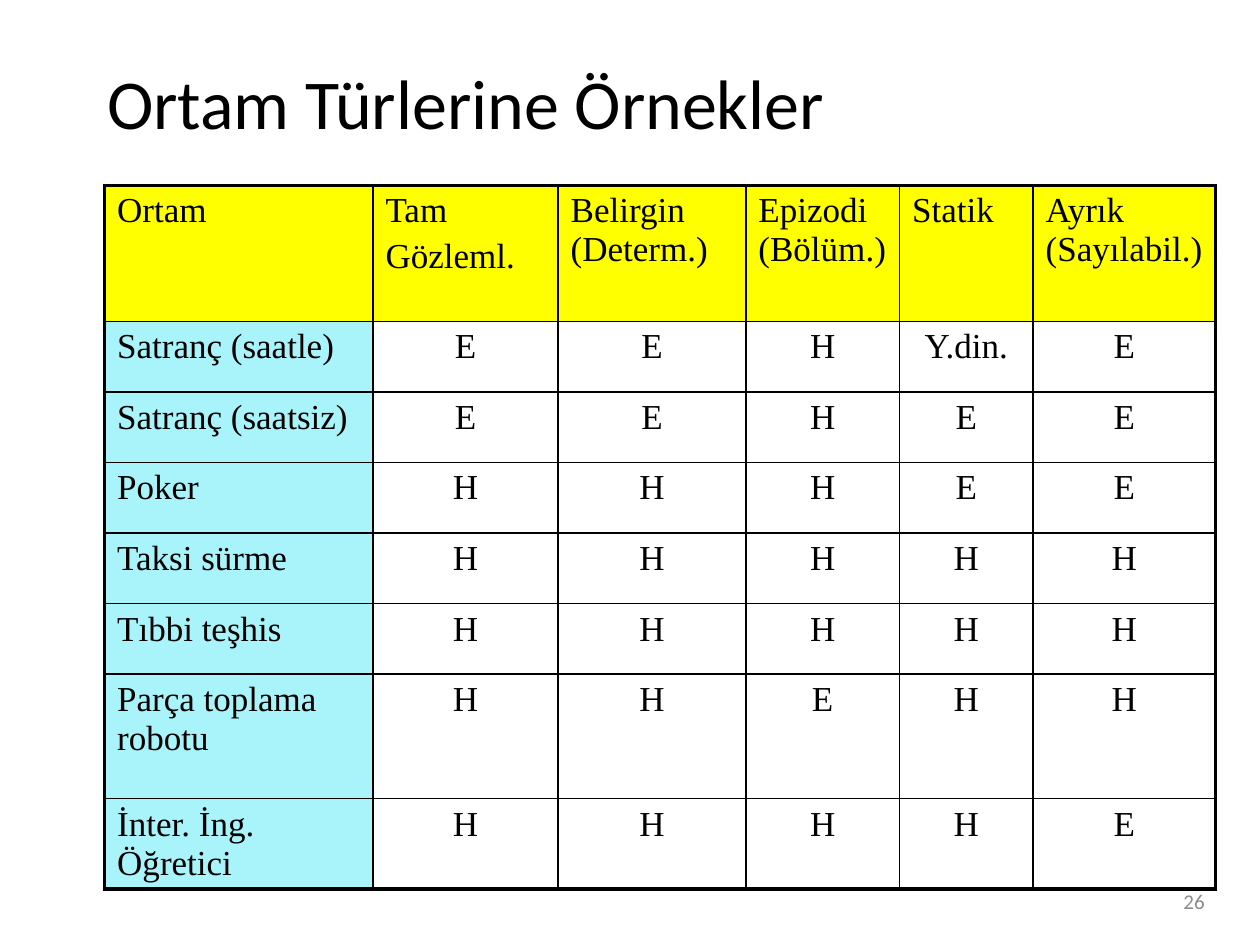
from lxml import etree
from pptx import Presentation
from pptx.dml.color import RGBColor
from pptx.enum.text import MSO_ANCHOR, PP_ALIGN
from pptx.oxml.ns import qn
from pptx.util import Inches, Pt

LEFT, CENTER, RIGHT = PP_ALIGN.LEFT, PP_ALIGN.CENTER, PP_ALIGN.RIGHT
MIDDLE = MSO_ANCHOR.MIDDLE
TITLE_ONLY = 5

COLORS = {
    "black": "000000",
    "white": "FFFFFF",
    "header": "FFFF00",
    "label": "A8F4FA",
    "number": "8C8C8C",
}

COLUMN_WIDTHS = [2.13, 1.47, 1.49, 1.22, 1.06, 1.45]
ROW_HEIGHTS = [1.08] + [0.56] * 5 + [0.99, 0.56]
ENVIRONMENTS = [
    ["Ortam", "Tam\nGözleml.", "Belirgin (Determ.)", "Epizodi (Bölüm.)",
     "Statik", "Ayrık (Sayılabil.)"],
    ["Satranç (saatle)", "E", "E", "H", "Y.din.", "E"],
    ["Satranç (saatsiz)", "E", "E", "H", "E", "E"],
    ["Poker", "H", "H", "H", "E", "E"],
    ["Taksi sürme", "H", "H", "H", "H", "H"],
    ["Tıbbi teşhis", "H", "H", "H", "H", "H"],
    ["Parça toplama robotu", "H", "H", "E", "H", "H"],
    ["İnter. İng. Öğretici", "H", "H", "H", "H", "E"],
]


class PageBuilder:
    heading_font = "Calibri"
    table_font = "Times New Roman"
    thin, thick = 1, 2.25

    def __init__(self, page):
        self.page = page

    def set_text(self, frame, text, font, size, color="black", align=LEFT):
        frame.text = text
        for index, para in enumerate(frame.paragraphs):
            para.alignment = align
            if index:
                para.space_before = Pt(size * 0.2)
            for span in para.runs:
                span.font.name = font
                span.font.size = Pt(size)
                span.font.color.rgb = RGBColor.from_string(COLORS[color])

    def place(self, box, left, top, width, height):
        box.left, box.top = Inches(left), Inches(top)
        box.width, box.height = Inches(width), Inches(height)

    def title(self, text, *area):
        box = self.page.shapes.title
        self.place(box, *area)
        box.text_frame.vertical_anchor = MIDDLE
        self.set_text(box.text_frame, text, self.heading_font, 40)

    def page_number(self, text, *area):
        box = self.page.shapes.add_textbox(*map(Inches, area))
        box.text_frame.word_wrap = True
        box.text_frame.vertical_anchor = MIDDLE
        self.set_text(box.text_frame, text, self.heading_font, 12, "number", RIGHT)

    def border(self, cell, side, points):
        properties = cell._tc.get_or_add_tcPr()
        line = etree.SubElement(properties, qn("a:ln" + side), w=str(Pt(points)))
        fill = etree.SubElement(line, qn("a:solidFill"))
        etree.SubElement(fill, qn("a:srgbClr"), val=COLORS["black"])

    def table(self, rows, widths, heights, left, top):
        table = self.page.shapes.add_table(
            len(rows), len(widths), Inches(left), Inches(top),
            Inches(sum(widths)), Inches(sum(heights))).table
        for column, width in zip(table.columns, widths):
            column.width = Inches(width)
        for row, height in zip(table.rows, heights):
            row.height = Inches(height)

        last_row, last_column = len(rows) - 1, len(widths) - 1
        for r, texts in enumerate(rows):
            for c, text in enumerate(texts):
                cell = table.cell(r, c)
                align = CENTER if r and c else LEFT
                self.set_text(cell.text_frame, text, self.table_font, 20, align=align)
                # Borders come before the fill in the cell properties
                outer = {"L": c == 0, "R": c == last_column,
                         "T": r == 0, "B": r == last_row}
                for side, is_outer in outer.items():
                    self.border(cell, side, self.thick if is_outer else self.thin)
                color = "header" if r == 0 else "label" if c == 0 else "white"
                cell.fill.solid()
                cell.fill.fore_color.rgb = RGBColor.from_string(COLORS[color])


deck = Presentation()
deck.slide_width, deck.slide_height = Inches(10), Inches(7.5)
builder = PageBuilder(deck.slides.add_slide(deck.slide_layouts[TITLE_ONLY]))

# Heading, comparison table and page number
builder.title("Ortam Türlerine Örnekler", 0.75, 0.28, 8.5, 1.05)
builder.table(ENVIRONMENTS, COLUMN_WIDTHS, ROW_HEIGHTS, 0.83, 1.47)
builder.page_number("26", 7.33, 6.95, 2.33, 0.4)

deck.save("out.pptx")
